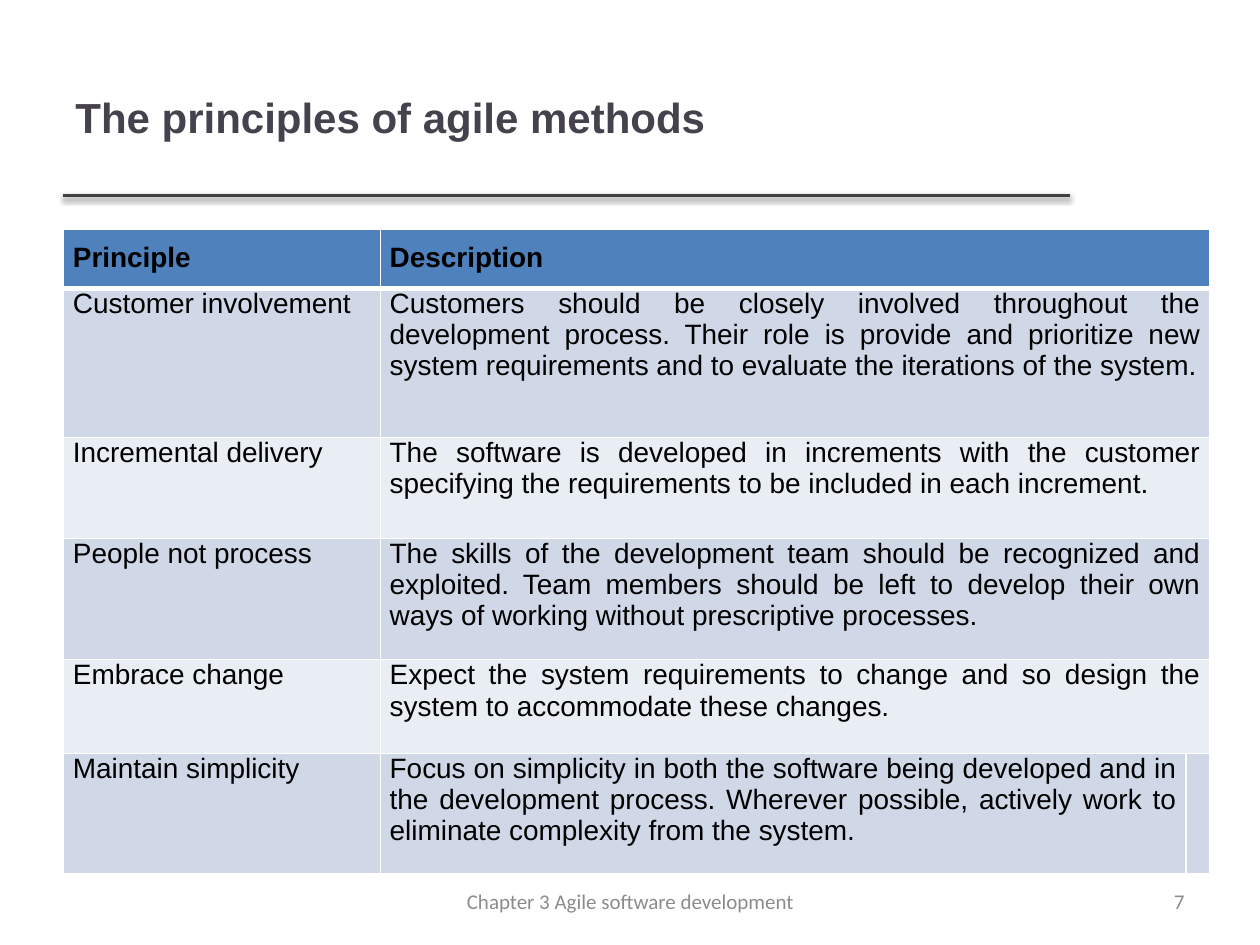
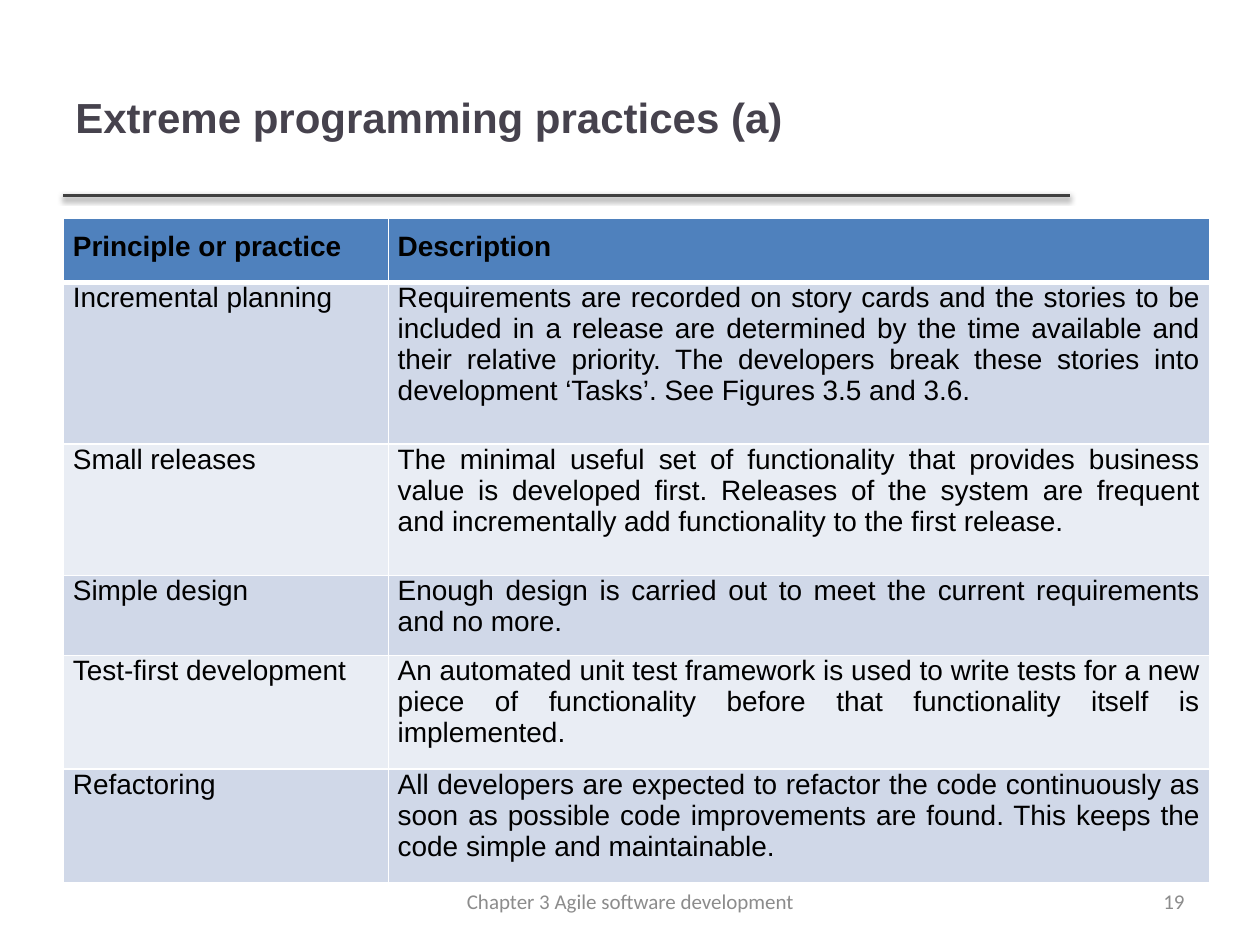
from lxml import etree
from pptx import Presentation
from pptx.dml.color import RGBColor
from pptx.enum.shapes import MSO_CONNECTOR
from pptx.enum.text import MSO_ANCHOR, PP_ALIGN
from pptx.oxml.ns import qn
from pptx.util import Pt

COLORS = {
    "title": "46424D",
    "rule": "404040",
    "shadow": "000000",
    "header": "4F81BD",
    "odd_row": "D0D8E8",
    "even_row": "E9EDF4",
    "border": "FFFFFF",
    "body": "000000",
    "footer": "8C8C8C",
}
TITLE_BOX = (36, 21.6, 574.6, 90)
RULE_BOX = (36, 111.6, 575.3)
FOOTER_BOX = (246.2, 500.4, 228.2, 28.8)
NUMBER_BOX = (516.2, 500.4, 167.8, 28.8)
FOOTER = "Chapter 3 Agile software development"


def rgb(name):
    return RGBColor.from_string(COLORS[name])


def write(text_frame, text, size, font, color, bold=False, align=PP_ALIGN.LEFT):
    text_frame.text = text
    paragraph = text_frame.paragraphs[0]
    paragraph.alignment = align
    for run in paragraph.runs:
        run.font.size = Pt(size)
        run.font.name = font
        run.font.bold = bold
        run.font.color.rgb = rgb(color)


def add_label(slide, box, text, size, font, color, **style):
    frame = slide.shapes.add_textbox(*map(Pt, box)).text_frame
    frame.word_wrap = True
    frame.vertical_anchor = MSO_ANCHOR.MIDDLE
    write(frame, text, size, font, color, **style)


def add_rule(slide, box):
    left, top, width = box
    rule = slide.shapes.add_connector(
        MSO_CONNECTOR.STRAIGHT, Pt(left), Pt(top), Pt(left + width), Pt(top))
    rule.line.color.rgb = rgb("rule")
    rule.line.width = Pt(2)
    effects = etree.SubElement(rule._element.spPr, qn("a:effectLst"))
    shadow = etree.SubElement(
        effects, qn("a:outerShdw"), blurRad=str(Pt(3.1)), dist=str(Pt(1.6)),
        dir="5400000", rotWithShape="0")
    tint = etree.SubElement(shadow, qn("a:srgbClr"), val=COLORS["shadow"])
    etree.SubElement(tint, qn("a:alpha"), val="38000")


def set_borders(cell, row):
    properties = cell._tc.get_or_add_tcPr()
    widths = {"L": 1, "R": 1, "T": 3 if row == 1 else 1, "B": 3 if row == 0 else 1}
    for side, width in widths.items():
        border = etree.SubElement(properties, qn(f"a:ln{side}"), w=str(Pt(width)))
        fill = etree.SubElement(border, qn("a:solidFill"))
        etree.SubElement(fill, qn("a:srgbClr"), val=COLORS["border"])


def style_cell(cell, row):
    set_borders(cell, row)
    cell.fill.solid()
    cell.fill.fore_color.rgb = rgb(
        "header" if row == 0 else "odd_row" if row % 2 else "even_row")
    cell.margin_left = cell.margin_right = Pt(5.4)
    cell.margin_top = Pt(7.2 if row == 0 else 0)
    cell.margin_bottom = Pt(7.2)


def add_practices(slide, origin, widths, heights, entries):
    left, top = origin
    table = slide.shapes.add_table(
        len(heights), len(widths), Pt(left), Pt(top),
        Pt(sum(widths)), Pt(sum(heights))).table
    table.first_row = table.horz_banding = False
    for column, width in zip(table.columns, widths):
        column.width = Pt(width)
    for row, (height, entry) in enumerate(zip(heights, entries)):
        table.rows[row].height = Pt(height)
        for column in range(len(widths)):
            style_cell(table.cell(row, column), row)
        for column, text in enumerate(entry):
            write(table.cell(row, column).text_frame, text, 16, "Arial", "body",
                  bold=row == 0, align=PP_ALIGN.JUSTIFY)
    return table


def add_content_slide(deck, title, number):
    slide = deck.slides.add_slide(deck.slide_layouts[6])
    add_rule(slide, RULE_BOX)
    add_label(slide, TITLE_BOX, title, 24, "Arial", "title", bold=True)
    add_label(slide, NUMBER_BOX, str(number), 12, "Calibri", "footer",
              align=PP_ALIGN.RIGHT)
    add_label(slide, FOOTER_BOX, FOOTER, 12, "Calibri", "footer",
              align=PP_ALIGN.CENTER)
    return slide


PRINCIPLES = [
    ("Principle", "Description"),
    ("Customer involvement",
     "Customers should be closely involved throughout the development process. "
     "Their role is provide and prioritize new system requirements and to "
     "evaluate the iterations of the system."),
    ("Incremental delivery",
     "The software is developed in increments with the customer specifying the "
     "requirements to be included in each increment."),
    ("People not process",
     "The skills of the development team should be recognized and exploited. "
     "Team members should be left to develop their own ways of working without "
     "prescriptive processes."),
    ("Embrace change",
     "Expect the system requirements to change and so design the system to "
     "accommodate these changes."),
    ("Maintain simplicity",
     "Focus on simplicity in both the software being developed and in the "
     "development process. Wherever possible, actively work to eliminate "
     "complexity from the system."),
]
PRACTICES = [
    ("Principle or practice", "Description"),
    ("Incremental planning",
     "Requirements are recorded on story cards and the stories to be included "
     "in a release are determined by the time available and their relative "
     "priority. The developers break these stories into development ‘Tasks’. "
     "See Figures 3.5 and 3.6."),
    ("Small releases",
     "The minimal useful set of functionality that provides business value is "
     "developed first. Releases of the system are frequent and incrementally "
     "add functionality to the first release."),
    ("Simple design",
     "Enough design is carried out to meet the current requirements and no more."),
    ("Test-first development",
     "An automated unit test framework is used to write tests for a new piece "
     "of functionality before that functionality itself is implemented."),
    ("Refactoring",
     "All developers are expected to refactor the code continuously as soon as "
     "possible code improvements are found. This keeps the code simple and "
     "maintainable."),
]

deck = Presentation()
deck.slide_width, deck.slide_height = Pt(720), Pt(540)

principles_slide = add_content_slide(deck, "The principles of agile methods", 7)
principles = add_practices(
    principles_slide, (36.3, 131.2), (181, 460.4, 10),
    (32, 85.2, 57.6, 69.4, 53.6, 69), PRINCIPLES)
for row in range(len(PRINCIPLES) - 1):
    principles.cell(row, 1).merge(principles.cell(row, 2))

practices_slide = add_content_slide(deck, "Extreme programming practices (a)", 19)
add_practices(
    practices_slide, (36.3, 124.8), (185.6, 469.2),
    (36.6, 92.4, 75.2, 43, 60.6, 60.2), PRACTICES)

deck.save("out.pptx")
